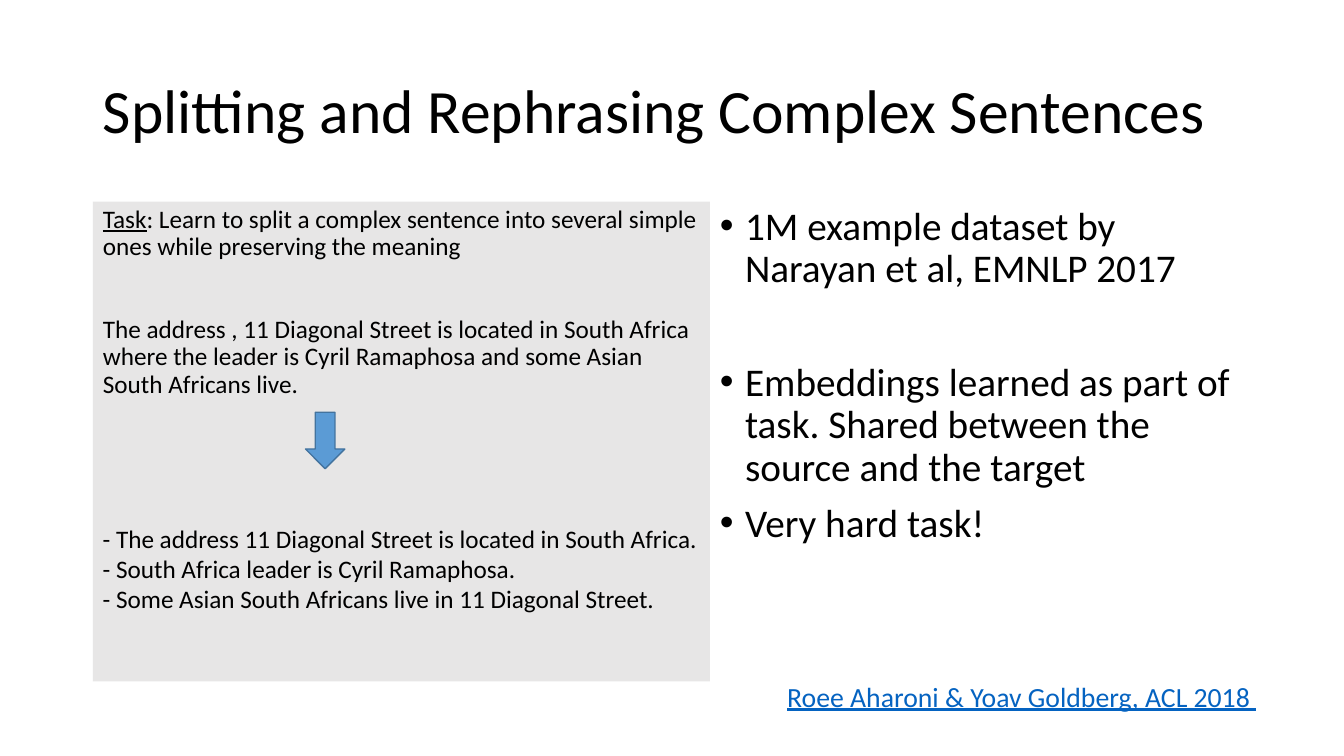
"""Build a slide on the split-and-rephrase task for complex sentences."""
from dataclasses import dataclass

from lxml import etree
from pptx import Presentation
from pptx.dml.color import RGBColor
from pptx.enum.shapes import MSO_SHAPE
from pptx.enum.text import MSO_ANCHOR, MSO_AUTO_SIZE, PP_ALIGN
from pptx.oxml.ns import qn
from pptx.util import Inches, Pt

DOWN_ARROW = MSO_SHAPE.DOWN_ARROW
MIDDLE, TOP = MSO_ANCHOR.MIDDLE, MSO_ANCHOR.TOP
NO_AUTOFIT = MSO_AUTO_SIZE.NONE
LEFT = PP_ALIGN.LEFT


@dataclass(frozen=True)
class Theme:
    font: str = "Calibri"
    text: str = "000000"
    link: str = "0563C1"
    panel: str = "E7E6E6"
    arrow: str = "5B9BD5"
    arrow_line: str = "43739E"
    title_size: float = 44
    list_size: float = 28
    citation_size: float = 19.8
    task_size: float = 18
    line_spacing: float = 0.9
    gap: float = 10
    task_gap: float = 39.8
    list_gap: float = 50.8


THEME = Theme()
TITLE = "Splitting and Rephrasing Complex Sentences"
TASK = [
    ([("Task", True),
      (": Learn to split a complex sentence into several simple ones while preserving the meaning", False)],
     THEME.gap),
    ([("The address , 11 Diagonal Street is located in South Africa where the leader is "
       "Cyril Ramaphosa and some Asian South Africans live.", False)], THEME.task_gap),
]
FINDINGS = [
    ("1M example dataset by Narayan et al, EMNLP 2017", THEME.gap),
    ("Embeddings learned as part of task. Shared between the source and the target", THEME.list_gap),
    ("Very hard task!", THEME.gap),
]
SIMPLE_SENTENCES = [
    "- The address 11 Diagonal Street is located in South Africa.",
    "- South Africa leader is Cyril Ramaphosa.",
    "- Some Asian South Africans live in 11 Diagonal Street.",
]
CITATION = "Roee Aharoni & Yoav Goldberg, ACL 2018 "

MARGIN, BODY_TOP, BODY_HEIGHT = 0.92, 2, 4.76
CONTENT_WIDTH, TASK_WIDTH = 11.5, 6.12
TITLE_BOX = (MARGIN, 0.4, CONTENT_WIDTH, 1.45)
TASK_BOX = (MARGIN, BODY_TOP, TASK_WIDTH, BODY_HEIGHT)
FINDINGS_BOX = (MARGIN + TASK_WIDTH, BODY_TOP, CONTENT_WIDTH - TASK_WIDTH, BODY_HEIGHT)
SENTENCES_BOX = (MARGIN, 5.14, 6.33, 1.31)
CITATION_BOX = (7.71, 6.69, 4.9, 0.43)
ARROW_BOX = (3.03, 4.09, 0.39, 0.56)


def rgb(color):
    return RGBColor.from_string(color)


def place(shape, box):
    shape.left, shape.top, shape.width, shape.height = map(Inches, box)


def set_bullet(paragraph, bullet):
    properties = paragraph._p.get_or_add_pPr()
    indent = Inches(0.25) if bullet else 0
    properties.set("marL", str(indent))
    properties.set("indent", str(-indent))
    if bullet:
        etree.SubElement(properties, qn("a:buFont")).set("typeface", "Arial")
        etree.SubElement(properties, qn("a:buChar")).set("char", bullet)
    else:
        etree.SubElement(properties, qn("a:buNone"))


def write(shape, paragraphs, size, color=THEME.text, line_spacing=THEME.line_spacing,
          bullet=None, anchor=TOP, wrap=True):
    frame = shape.text_frame
    frame.auto_size = NO_AUTOFIT
    frame.word_wrap = wrap
    frame.vertical_anchor = anchor
    for index, (runs, space_before) in enumerate(paragraphs):
        paragraph = frame.add_paragraph() if index else frame.paragraphs[0]
        paragraph.alignment = LEFT
        paragraph.line_spacing = line_spacing
        paragraph.space_before = Pt(space_before)
        set_bullet(paragraph, bullet)
        for text, underlined in runs:
            run = paragraph.add_run()
            run.text = text
            run.font.name = THEME.font
            run.font.size = Pt(size)
            run.font.underline = underlined
            run.font.color.rgb = rgb(color)


def add_text(slide, box, *arguments, **options):
    write(slide.shapes.add_textbox(*map(Inches, box)), *arguments, **options)


def add_arrow(slide):
    arrow = slide.shapes.add_shape(DOWN_ARROW, *map(Inches, ARROW_BOX))
    arrow.shadow.inherit = False
    arrow.fill.solid()
    arrow.fill.fore_color.rgb = rgb(THEME.arrow)
    arrow.line.color.rgb = rgb(THEME.arrow_line)
    arrow.line.width = Pt(1)


def main():
    presentation = Presentation()
    presentation.slide_width, presentation.slide_height = Inches(13.33), Inches(7.5)
    slide = presentation.slides.add_slide(presentation.slide_layouts.get_by_name("Two Content"))
    title, task, findings = slide.placeholders
    for shape, box in ((title, TITLE_BOX), (task, TASK_BOX), (findings, FINDINGS_BOX)):
        place(shape, box)
    task.fill.solid()
    task.fill.fore_color.rgb = rgb(THEME.panel)

    write(title, [([(TITLE, False)], 0)], THEME.title_size, anchor=MIDDLE)
    write(task, TASK, THEME.task_size)
    write(findings, [([(text, False)], gap) for text, gap in FINDINGS], THEME.list_size, bullet="•")
    add_text(slide, CITATION_BOX, [([(CITATION, True)], 0)], THEME.citation_size,
             color=THEME.link, line_spacing=1.0, wrap=False)
    add_text(slide, SENTENCES_BOX, [([(text, False)], 0) for text in SIMPLE_SENTENCES],
             THEME.task_size, line_spacing=1.0)
    add_arrow(slide)
    presentation.save("out.pptx")


if __name__ == "__main__":
    main()
